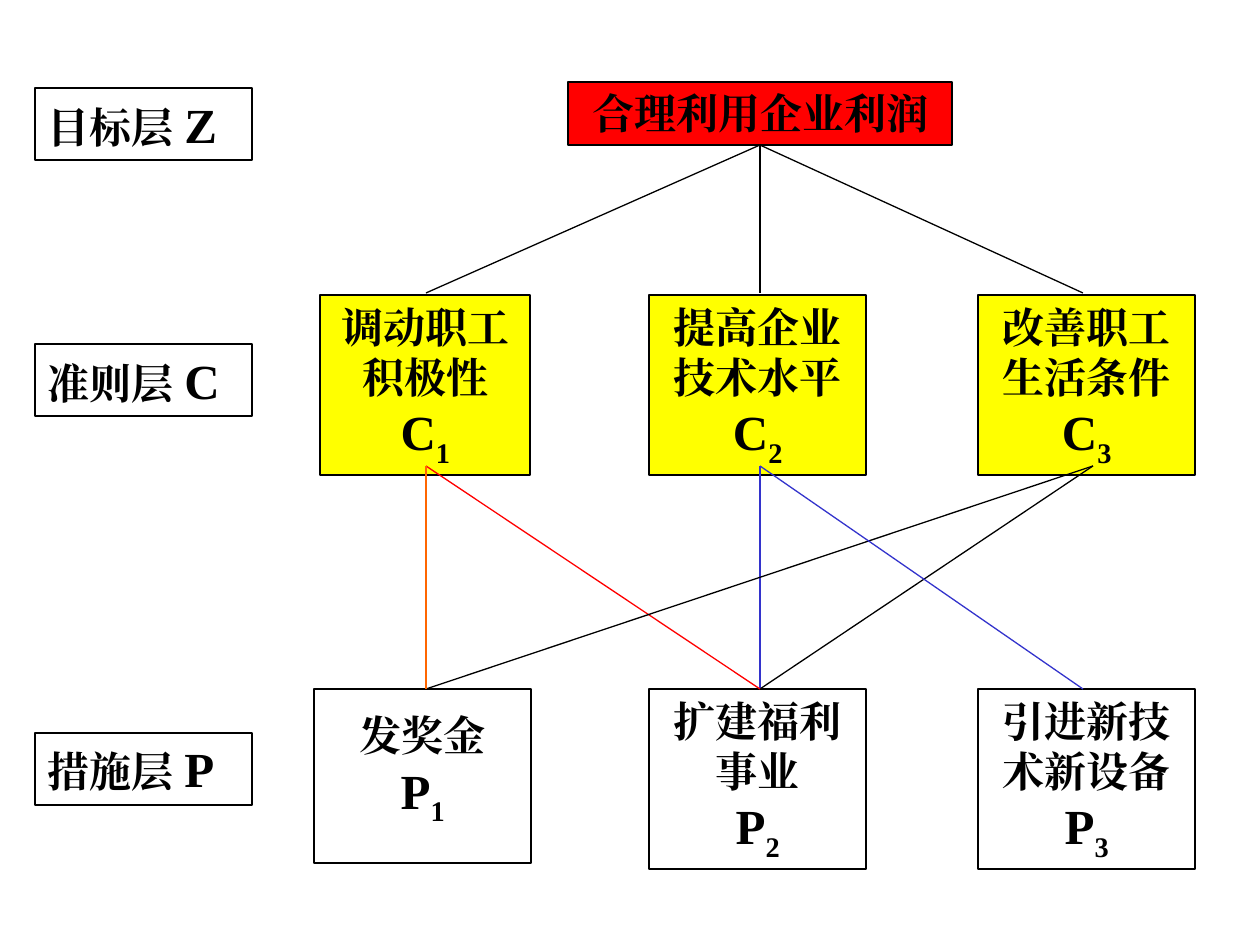
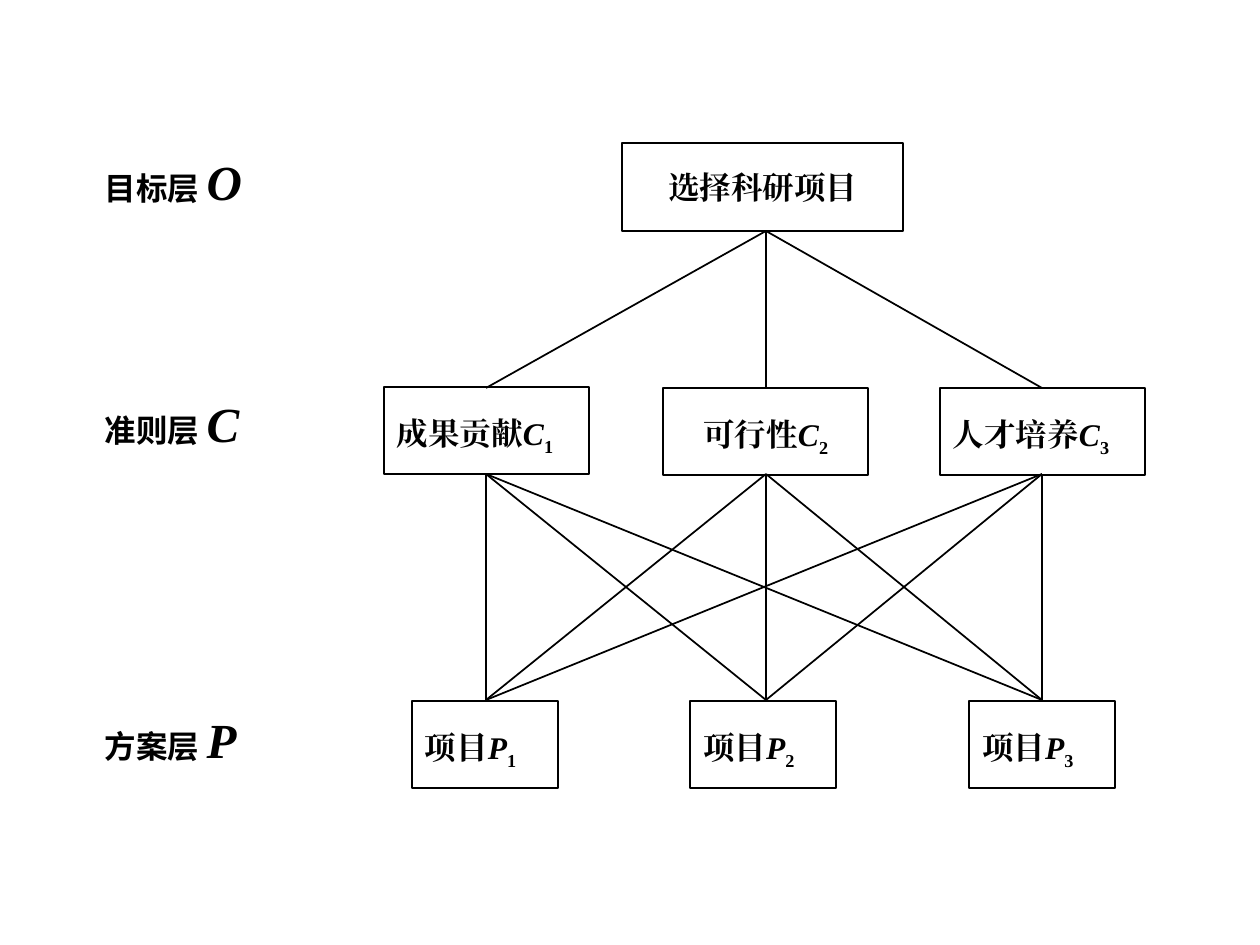
from itertools import product

from lxml import etree
from pptx import Presentation
from pptx import util as u
from pptx.dml.color import RGBColor
from pptx.enum import shapes, text
from pptx.oxml.ns import qn

PX = 914400 / 126
BLACK, RED, YELLOW, BLUE, ORANGE = "000000", "FF0000", "FFFF00", "3333CC", "FF6600"
LATIN, CHINESE = "Times New Roman", "Noto Sans CJK SC"
LEFT, CENTER = text.PP_ALIGN.LEFT, text.PP_ALIGN.CENTER

# Content: boxes are (words, letter, index, left, top, width, height)
PROFIT = {
    "goal": ("合理利用企业利润", "", "", 568, 82, 384, 63),
    "criteria": [
        ("调动职工积极性 ", "C", "1", 320, 295, 210, 180),
        ("提高企业技术水平", "C", "2", 649, 295, 217, 180),
        ("改善职工生活条件", "C", "3", 978, 295, 217, 180),
    ],
    "measures": [
        ("发奖金\v", "P", "1", 314, 689, 217, 174),
        ("扩建福利事业\v", "P", "2", 649, 689, 217, 180),
        ("引进新技术新设备", "P", "3", 978, 689, 217, 180),
    ],
    "layers": [
        ("目标层 ", "Z", "", 35, 88, 217, 72),
        ("准则层 ", "C", "", 35, 344, 217, 72),
        ("措施层 ", "P", "", 35, 733, 217, 72),
    ],
    "centres": (426, 760, 1083),
    "levels": (145, 293, 466, 689),
    # (criterion, measure, colour)
    "links": [(1, 1, BLUE), (2, 1, BLACK), (0, 1, RED),
              (2, 0, BLACK), (0, 0, ORANGE), (1, 2, BLUE)],
}
RESEARCH = {
    "goal": ("选择科研项目", "", "", 622, 143, 281, 88),
    "criteria": [
        ("成果贡献", "C", "1", 384, 387, 205, 87),
        ("可行性", "C", "2", 663, 388, 205, 87),
        ("人才培养", "C", "3", 940, 388, 205, 87),
    ],
    "projects": [("项目", "P", str(i + 1), 412 + round(278.5 * i), 701, 146, 87)
                 for i in range(3)],
    "layers": [
        ("目标层 ", "O", "", 78, 143, 253, 87),
        ("准则层 ", "C", "", 78, 385, 253, 87),
        ("方案层 ", "P", "", 78, 701, 253, 87),
    ],
    "centres": (486, 766, 1042),
    "levels": (231, 388, 474, 700),
    "links": [(c, p, BLACK) for c, p in product(range(3), repeat=2)],
}


def px(n):
    return u.Emu(round(n * PX))


def rgb(value):
    return RGBColor.from_string(value)


def add_run(p, words, size, font=LATIN, italic=False, sub=False):
    r = p.add_run()
    r.text = words
    f = r.font
    f.size, f.name, f.bold, f.italic = u.Pt(size), font, True, italic
    f.color.rgb = rgb(BLACK)
    rpr = r._r.get_or_add_rPr()
    etree.SubElement(rpr, qn("a:ea")).set("typeface", font)
    if sub:
        rpr.set("baseline", "-25000")


def add_box(s, item, size, letter_size, align=CENTER, fill=None, line=0.75,
            spacing=None, font=LATIN, italic=False, inset=(13, 6)):
    words, letter, index, *frame = item
    sp = s.shapes.add_shape(shapes.MSO_SHAPE.RECTANGLE, *map(px, frame))
    sp.shadow.inherit = False
    if fill:
        sp.fill.solid()
        sp.fill.fore_color.rgb = rgb(fill)
    else:
        sp.fill.background()
    if line:
        sp.line.color.rgb = rgb(BLACK)
        sp.line.width = u.Pt(line)
    else:
        sp.line.fill.background()
    tf = sp.text_frame
    tf.word_wrap = True
    tf.vertical_anchor = text.MSO_ANCHOR.TOP
    tf.margin_left, tf.margin_top = map(px, inset)
    p = tf.paragraphs[0]
    p.alignment = align
    if spacing:
        p.line_spacing = spacing
    add_run(p, words.rstrip("\v"), size, font)
    if words.endswith("\v"):
        p.add_line_break()
    if letter:
        add_run(p, letter, letter_size, italic=italic)
    if index:
        add_run(p, index, letter_size, sub=True)


def add_line(s, start, end, color=BLACK, width=0.75):
    c = s.shapes.add_connector(shapes.MSO_CONNECTOR.STRAIGHT,
                               *map(px, (*start, *end)))
    c.line.color.rgb = rgb(color)
    c.line.width = u.Pt(width)
    etree.SubElement(c._element.spPr, qn("a:effectLst"))


def add_links(s, tree, slant_width, low_xs=None):
    """Join goal to criteria, then criteria to the bottom layer."""
    xs = tree["centres"]
    goal_y, top_y, low_y, end_y = tree["levels"]
    low_xs = low_xs or xs
    for x in xs:
        add_line(s, (xs[1], goal_y), (x, top_y), width=slant_width)
    for c, p, color in tree["links"]:
        add_line(s, (low_xs[c], low_y), (xs[p], end_y), color,
                 0.75 if c == p else slant_width)


def profit_slide(s):
    add_box(s, PROFIT["goal"], 24, 28, fill=RED)
    for item in PROFIT["criteria"]:
        add_box(s, item, 24, 28, fill=YELLOW)
    for i, item in enumerate(PROFIT["measures"]):
        add_box(s, item, 24, 28, inset=(13, 6 if i else 21))
    add_links(s, PROFIT, 0.75, low_xs=(426, 760, 1093))
    for item in PROFIT["layers"]:
        add_box(s, item, 24, 28, LEFT)


def research_slide(s):
    style = dict(line=1.5, spacing=1.5, italic=True)
    add_box(s, RESEARCH["goal"], 18, 18, **style)
    for i, item in enumerate(RESEARCH["criteria"]):
        add_box(s, item, 18, 18, CENTER if i == 1 else LEFT, **style)
    for item in RESEARCH["projects"]:
        add_box(s, item, 18, 18, LEFT, **style)
    add_links(s, RESEARCH, 1)
    for item in RESEARCH["layers"]:
        add_box(s, item, 18, 28, LEFT, line=0, spacing=1.04, font=CHINESE,
                italic=True, inset=(27, 6))


def main():
    prs = Presentation()
    prs.slide_width, prs.slide_height = px(1260), px(945)
    for build in (profit_slide, research_slide):
        build(prs.slides.add_slide(prs.slide_layouts[6]))
    prs.save("out.pptx")


if __name__ == "__main__":
    main()
